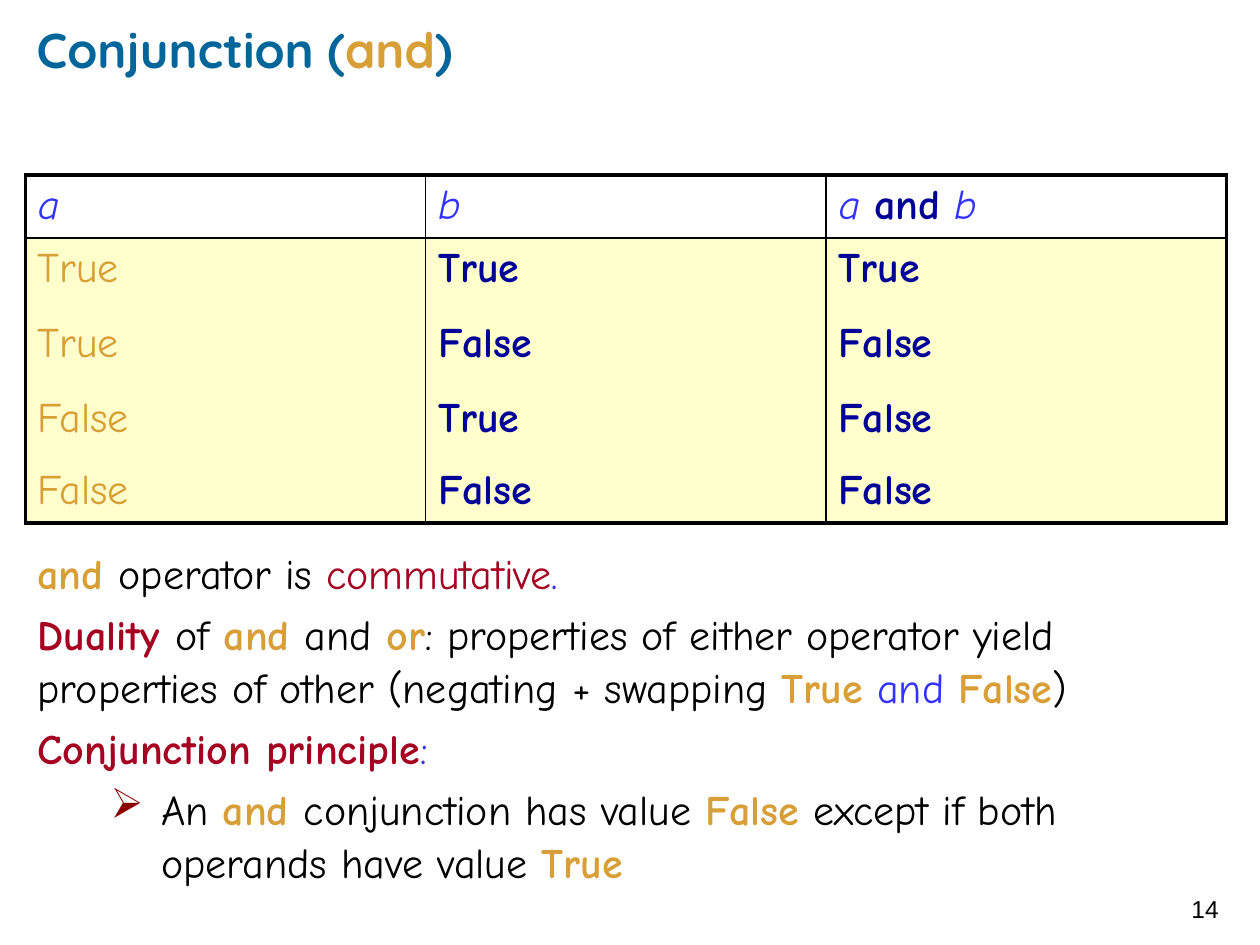
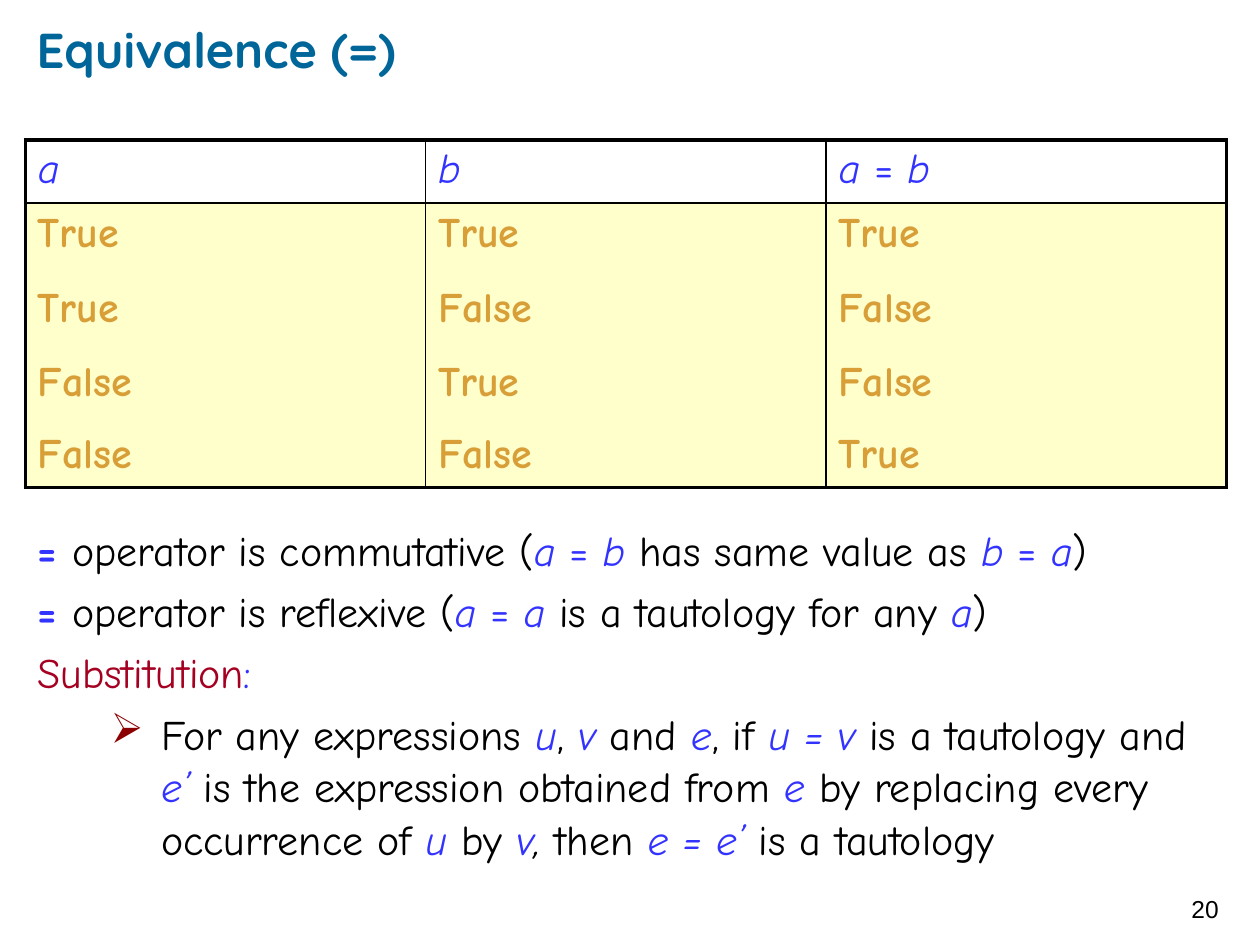
import pptx
import pptx.util
import pptx.dml.color
import pptx.enum.text
import pptx.oxml.ns
import lxml.etree

Cm = pptx.util.Cm
Pt = pptx.util.Pt
MIDDLE = pptx.enum.text.MSO_ANCHOR.MIDDLE


class Theme:
    head, body, plain = "Quicksand", "Comic Neue", "Arial"
    big, mid, small = 28, 24, 14
    lead, gap = 1.05, 4.8
    thick, thin = 2.25, 1
    line, cell, mark = "000000", "FFFFCC", "8B0000"
    styles = {
        "text": ("000000", False, False),
        "slant": ("000000", False, True),
        "title": ("006699", True, False),
        "gold": ("D89F39", False, False),
        "key": ("D89F39", True, False),
        "navy": ("000099", True, False),
        "red": ("A50021", False, False),
        "term": ("A50021", True, False),
        "blue": ("3333FF", False, False),
        "sign": ("3333FF", True, False),
        "var": ("3333FF", False, True),
    }


def tint(hue):
    return pptx.dml.color.RGBColor.from_string(hue)


def add(node, tag, **attrs):
    return lxml.etree.SubElement(node, pptx.oxml.ns.qn(tag), **attrs)


def paint(node, hue):
    add(add(node, "a:solidFill"), "a:srgbClr", val=hue)


def write(para, runs, face=Theme.body, size=Theme.mid):
    para.font.name = face
    para.font.size = Pt(size)
    for style, text in runs:
        hue, bold, slant = Theme.styles[style]
        run = para.add_run()
        run.text = text
        run.font.color.rgb = tint(hue)
        run.font.bold = bold
        run.font.italic = slant


def frame(slide, box, pad, anchor=None):
    area = slide.shapes.add_textbox(*map(Cm, box)).text_frame
    area.word_wrap = True
    area.margin_left = area.margin_right = Cm(pad[0])
    area.margin_top = area.margin_bottom = Cm(pad[1])
    if anchor is not None:
        area.vertical_anchor = anchor
    return area


def title(slide, box, runs):
    area = frame(slide, box, (0, 0), MIDDLE)
    write(area.paragraphs[0], runs, Theme.head, Theme.big)


def number(slide, box, page):
    area = frame(slide, box, (0.25, 0.25), MIDDLE)
    write(area.paragraphs[0], [("text", str(page))], Theme.plain, Theme.small)


def bullet(para):
    props = para._p.get_or_add_pPr()
    props.set("marL", str(Cm(2.49)))
    props.set("indent", str(Cm(-1.02)))
    add(add(props, "a:buClr"), "a:srgbClr", val=Theme.mark)
    add(props, "a:buChar", char="➢")


def notes(slide, box, paras):
    area = frame(slide, box, (0.25, 0.13))
    for i, runs in enumerate(paras):
        para = area.add_paragraph() if i else area.paragraphs[0]
        if i == len(paras) - 1:
            bullet(para)
        para.line_spacing = Theme.lead
        para.space_before = Pt(Theme.gap if i else 0)
        write(para, runs)


def border(cell, widths):
    props = cell._tc.get_or_add_tcPr()
    for side, width in zip("LRTB", widths):
        line = add(props, "a:ln" + side, w=str(Pt(width)))
        if width:
            paint(line, Theme.line)
        else:
            add(line, "a:noFill")


def truth(slide, box, head, inks):
    heights = (1.17, 1.52, 1.5, 1.45, 1.22)
    pairs = [(True, True), (True, False), (False, True), (False, False)]
    rule, label = head
    rows = [[[("var", "a")], [("var", "b")], label]]
    for a, b in pairs:
        values = (a, b, rule(a, b))
        rows.append([[(ink, str(v))] for ink, v in zip(inks, values)])
    shape = slide.shapes.add_table(len(rows), 3, *map(Cm, box))
    table = shape.table
    table.first_row = table.horz_banding = False
    for col in table.columns:
        col.width = Cm(box[2] / 3)
    last = len(rows) - 1
    for r, row in enumerate(rows):
        table.rows[r].height = Cm(heights[r])
        for c, runs in enumerate(row):
            cell = table.cell(r, c)
            left = Theme.thin if c else Theme.thick
            right = Theme.thin if c < 2 else Theme.thick
            top = {0: Theme.thick, 1: Theme.thin}.get(r, 0)
            base = {0: Theme.thin, last: Theme.thick}.get(r, 0)
            border(cell, (left, right, top, base))
            if r:
                cell.fill.solid()
                cell.fill.fore_color.rgb = tint(Theme.cell)
            else:
                cell.fill.background()
            write(cell.text_frame.paragraphs[0], runs)
    shape.height = Cm(box[3])


def page(deck, num, name, head, inks, paras, tops):
    slide = deck.slides.add_slide(deck.slide_layouts[6])
    title(slide, (0.74, 0.33, 22.76, 1.3), name)
    notes(slide, (0.51, tops[1], 24.21, 6.88), paras)
    truth(slide, (0.51, tops[0], 24.21, 7.04), head, inks)
    number(slide, (23.77, 17.6, 1.52, 1.45), num)


BOTH = [
    [("key", "and "), ("text", "operator is "), ("red", "commutative"),
     ("blue", ".")],
    [("term", "Duality "), ("text", "of"), ("key", " and "), ("text", "and"),
     ("key", " or"),
     ("text", ": properties of either operator yield properties of other "
              "(negating + swapping "),
     ("key", "True"), ("blue", " and "), ("key", "False"), ("text", ")")],
    [("term", "Conjunction principle"), ("blue", ":")],
    [("text", "An "), ("key", "and "), ("text", "conjunction has value "),
     ("key", "False"), ("text", " except if both operands have value "),
     ("key", "True")],
]

SAME = [
    [("sign", "= "), ("text", "operator is commutative ("), ("var", "a "),
     ("blue", "="), ("var", " b "), ("text", "has same value as "),
     ("var", "b "), ("blue", "="), ("var", " a"), ("text", ")")],
    [("sign", "= "), ("text", "operator is reflexive ("), ("var", "a "),
     ("blue", "="), ("var", " a "), ("text", "is a tautology for any "),
     ("var", "a"), ("text", ")")],
    [("red", "Substitution"), ("blue", ":")],
    [("text", "For any expressions "), ("var", "u"), ("text", ", "),
     ("var", "v "), ("text", "and "), ("var", "e"), ("text", ", if "),
     ("var", "u = v "), ("text", "is a tautology and "), ("var", "e’ "),
     ("text", "is the expression obtained from "), ("var", "e "),
     ("text", "by replacing every occurrence of "), ("var", "u "),
     ("text", "by "), ("var", "v"), ("slant", ","), ("text", " then "),
     ("var", "e = e’ "), ("text", "is a tautology")],
]

deck = pptx.Presentation()
deck.slide_width, deck.slide_height = Cm(25.4), Cm(19.05)
page(deck, 14,
     [("title", "Conjunction ("), ("key", "and"), ("title", ")")],
     (lambda a, b: a and b, [("var", "a "), ("navy", "and"), ("var", " b")]),
     ("gold", "navy", "navy"), BOTH, (3.53, 10.85))
page(deck, 20,
     [("title", "Equivalence (=)")],
     (lambda a, b: a == b, [("var", "a "), ("blue", "="), ("var", " b")]),
     ("key", "key", "key"), SAME, (2.82, 10.39))
deck.save("out.pptx")
